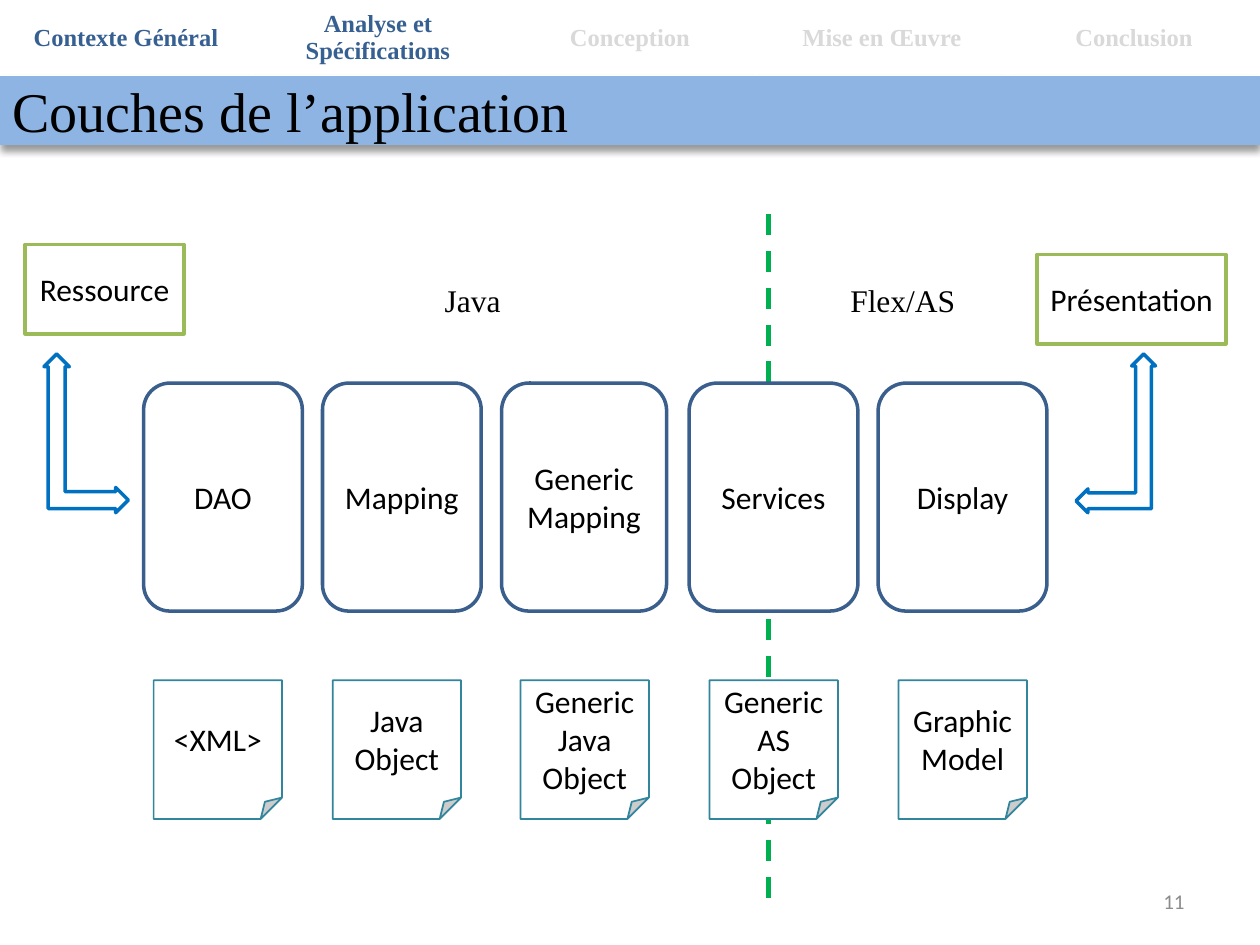
from lxml import etree
from pptx import Presentation
from pptx.dml.color import RGBColor
from pptx.enum.dml import MSO_LINE
from pptx.enum.shapes import MSO_CONNECTOR, MSO_SHAPE
from pptx.enum.text import MSO_ANCHOR, MSO_AUTO_SIZE, PP_ALIGN
from pptx.oxml import parse_xml
from pptx.oxml.ns import nsdecls, qn
from pptx.util import Pt

THEME = {
    "black": RGBColor(0x00, 0x00, 0x00),
    "white": RGBColor(0xFF, 0xFF, 0xFF),
    "title_fill": RGBColor(0x8E, 0xB4, 0xE3),
    "done": RGBColor(0x37, 0x60, 0x92),
    "pending": RGBColor(0xD9, 0xD9, 0xD9),
    "layer": RGBColor(0x3A, 0x5F, 0x8C),
    "endpoint": RGBColor(0x9B, 0xBB, 0x59),
    "arrow": RGBColor(0x00, 0x70, 0xC0),
    "note": RGBColor(0x31, 0x85, 0x9C),
    "divider": RGBColor(0x00, 0xB0, 0x50),
    "number": RGBColor(0x8C, 0x8C, 0x8C),
    "serif": "Times New Roman",
    "sans": "Calibri",
    "title_size": Pt(32),
    "body_size": Pt(18),
    "nav_size": Pt(14),
    "number_size": Pt(12),
}


def write(frame, text, font="sans", size="body_size", color="black",
          align=PP_ALIGN.CENTER, bold=False):
    """Write one paragraph per line of text."""
    for index, line in enumerate(text.split("\n")):
        paragraph = frame.paragraphs[0] if index == 0 else frame.add_paragraph()
        paragraph.alignment = align
        run = paragraph.add_run()
        run.text = line
        run.font.name = THEME[font]
        run.font.size = THEME[size]
        run.font.color.rgb = THEME[color]
        run.font.bold = bold


def add_box(kind, left, top, width, height, line, line_width=2, text=None):
    """Add an outlined shape, white and centred when it carries text."""
    shape = slide.shapes.add_shape(kind, Pt(left), Pt(top), Pt(width), Pt(height))
    shape.shadow.inherit = False
    shape.line.color.rgb = THEME[line]
    shape.line.width = Pt(line_width)
    if text is None:
        shape.fill.background()
        return shape
    shape.fill.solid()
    shape.fill.fore_color.rgb = THEME["white"]
    shape.text_frame.word_wrap = True
    shape.text_frame.vertical_anchor = MSO_ANCHOR.MIDDLE
    write(shape.text_frame, text)
    return shape


presentation = Presentation()
presentation.slide_width = Pt(720)
presentation.slide_height = Pt(540)
slide = presentation.slides.add_slide(presentation.slide_layouts[5])

# Title band with a soft shadow below
title = slide.shapes.title
title.left, title.top, title.width, title.height = Pt(0), Pt(43.2), Pt(720), Pt(39.6)
title.fill.solid()
title.fill.fore_color.rgb = THEME["title_fill"]
title.text_frame.auto_size = MSO_AUTO_SIZE.NONE
title.text_frame.vertical_anchor = MSO_ANCHOR.MIDDLE
write(title.text_frame, "Couches de l’application", "serif", "title_size",
      align=PP_ALIGN.LEFT)
title._element.spPr.append(parse_xml(
    f'<a:effectLst {nsdecls("a")}>'
    f'<a:outerShdw blurRad="{Pt(4)}" dist="{Pt(3)}" dir="5400000" rotWithShape="0">'
    '<a:srgbClr val="000000"><a:alpha val="40000"/></a:srgbClr>'
    '</a:outerShdw></a:effectLst>'))

# Divider between the Java and Flex sides
divider = slide.shapes.add_connector(
    MSO_CONNECTOR.STRAIGHT, Pt(439.2), Pt(122.4), Pt(439.2), Pt(519.1))
divider.line.color.rgb = THEME["divider"]
divider.line.width = Pt(3)
divider.line.dash_style = MSO_LINE.DASH
etree.SubElement(divider._element.spPr, qn("a:effectLst"))

# Navigation table
sections = [
    ("Contexte Général", "done"),
    ("Analyse et Spécifications", "done"),
    ("Conception", "pending"),
    ("Mise en Œuvre", "pending"),
    ("Conclusion", "pending"),
]
navigation = slide.shapes.add_table(
    1, len(sections), Pt(0), Pt(0), Pt(720), Pt(43.2)).table
navigation.first_row = False
navigation.horz_banding = False
for column, (section, color) in enumerate(sections):
    cell = navigation.cell(0, column)
    cell.fill.background()
    cell.vertical_anchor = MSO_ANCHOR.MIDDLE
    write(cell.text_frame, section, "serif", "nav_size", color, bold=True)

# Endpoints
add_box(MSO_SHAPE.RECTANGLE, 14.4, 139.7, 90.7, 51.1, "endpoint", text="Ressource")
add_box(MSO_SHAPE.RECTANGLE, 592.6, 145.4, 108, 51.1, "endpoint", text="Présentation")

# Application layers: name, left, width
layers = [
    ("DAO", 82.1, 90.7),
    ("Mapping", 184.3, 90.7),
    ("Generic Mapping", 286.6, 94.3),
    ("Services", 393.8, 96.5),
    ("Display", 501.8, 96.5),
]
for name, left, width in layers:
    add_box(MSO_SHAPE.ROUNDED_RECTANGLE, left, 218.9, width, 130.3, "layer", text=name)

# Data handled by each layer
notes = [
    ("<XML>", 87.8),
    ("Java\nObject", 190.1),
    ("Generic\nJava\nObject", 297.4),
    ("Generic\nAS\nObject", 405.4),
    ("Graphic\nModel", 513.4),
]
for text, left in notes:
    add_box(MSO_SHAPE.FOLDED_CORNER, left, 388.8, 73.4, 79.2, "note", 1, text)

# Bent arrows between endpoints and layers; the left one is mirrored
for left, width, mirrored in [(25.2, 48.2, True), (614.9, 45.4, False)]:
    arrow = add_box(MSO_SHAPE.LEFT_UP_ARROW, left, 202.3, width, 90.7, "arrow")
    for index, value in enumerate((0.2, 0.15, 0.15)):
        arrow.adjustments[index] = value
    if mirrored:
        arrow._element.spPr.find(qn("a:xfrm")).set("flipH", "1")

# Technology labels
for text, left, width in [("Java", 247, 46.8), ("Flex/AS", 478.8, 74.9)]:
    label = slide.shapes.add_textbox(Pt(left), Pt(157), Pt(width), Pt(28.8))
    label.text_frame.word_wrap = False
    label.text_frame.auto_size = MSO_AUTO_SIZE.SHAPE_TO_FIT_TEXT
    write(label.text_frame, text, "serif", align=PP_ALIGN.LEFT)

# Slide number
number = slide.shapes.add_textbox(Pt(516.2), Pt(500.4), Pt(167.8), Pt(28.8))
number.text_frame.word_wrap = True
number.text_frame.vertical_anchor = MSO_ANCHOR.MIDDLE
write(number.text_frame, "11", size="number_size", color="number",
      align=PP_ALIGN.RIGHT)

presentation.save("out.pptx")
